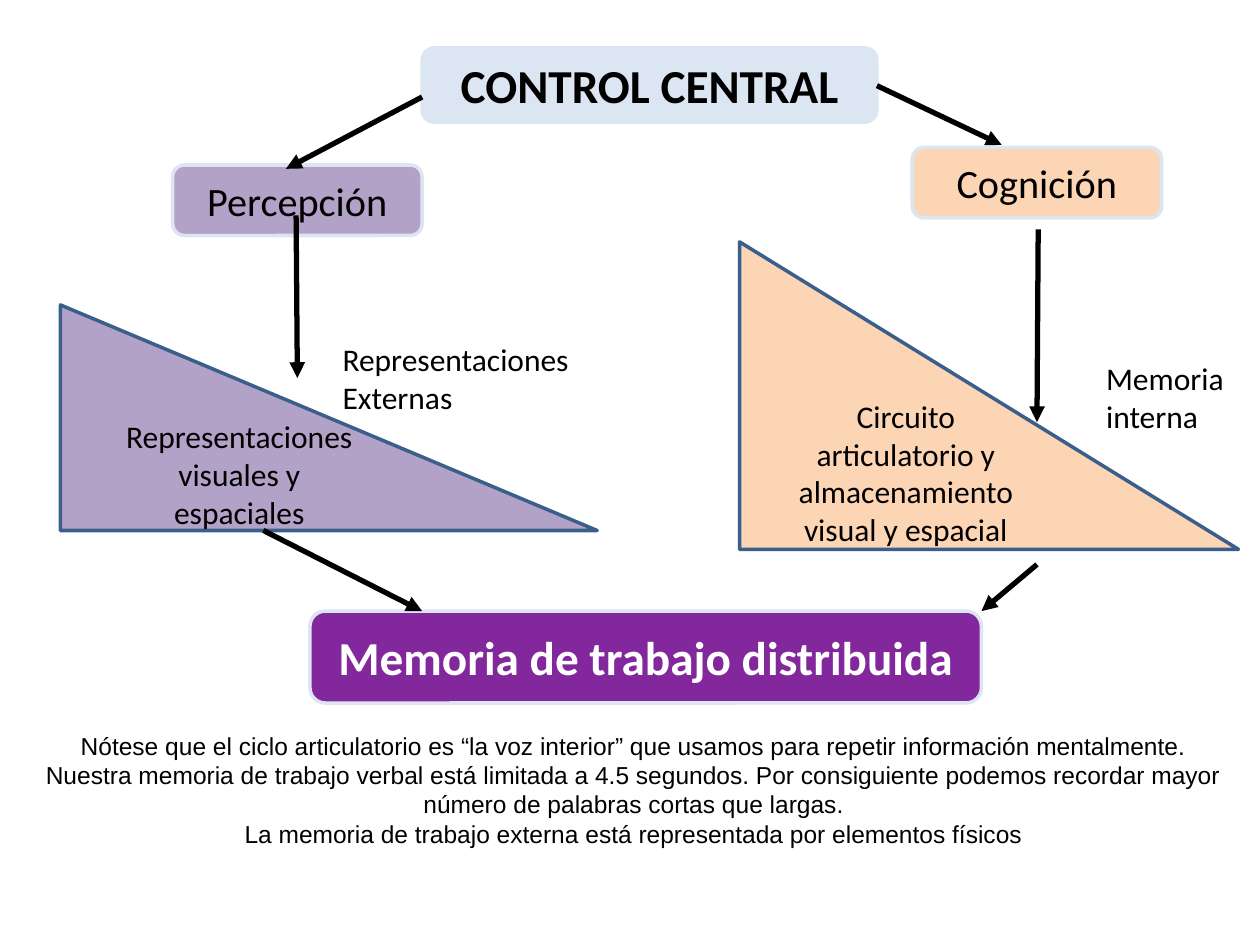
from dataclasses import dataclass

from lxml import etree
from pptx import Presentation
from pptx.dml.color import RGBColor
from pptx.enum.shapes import MSO_CONNECTOR, MSO_SHAPE
from pptx.enum.text import MSO_ANCHOR, PP_ALIGN
from pptx.oxml.ns import qn
from pptx.util import Inches, Pt

ROUNDED = MSO_SHAPE.ROUNDED_RECTANGLE
TRIANGLE = MSO_SHAPE.RIGHT_TRIANGLE
STRAIGHT = MSO_CONNECTOR.STRAIGHT
CENTER, LEFT = PP_ALIGN.CENTER, PP_ALIGN.LEFT
MIDDLE, TOP = MSO_ANCHOR.MIDDLE, MSO_ANCHOR.TOP


@dataclass(frozen=True)
class Theme:
    black: str = "000000"
    white: str = "FFFFFF"
    pale_blue: str = "DCE6F2"
    blue: str = "3A5F8B"
    lilac: str = "B3A2C7"
    peach: str = "FCD5B5"
    purple: str = "83289C"
    font: str = "Calibri"
    note_font: str = "Arial"
    heading: int = 27
    node: int = 23
    body: int = 18
    note: int = 14
    outline: int = 2
    arrow: int = 3


@dataclass(frozen=True)
class Branch:
    """Wording and layout of one side; offsets are inches from its box."""
    title: str
    process: str
    label: str
    fill: str
    node_left: float
    triangle_top: float
    label_top: float
    label_width: float
    arrow_start: tuple
    arrow_end: tuple


THEME = Theme()

PERCEPTION = Branch(
    "Percepción", "Representaciones visuales y espaciales",
    "Representaciones Externas", THEME.lilac,
    0.89, 1.11, 1.34, 2.12, (1.87, 0.4), (1.88, 1.69))
COGNITION = Branch(
    "Cognición", "Circuito articulatorio y almacenamiento visual y espacial",
    "Memoria interna", THEME.peach,
    1.37, 0.75, 1.63, 1.15, (2.37, 0.65), (2.36, 2.18))

NOTES = (
    "Nótese que el ciclo articulatorio es “la voz interior” que usamos para "
    "repetir información mentalmente. Nuestra memoria de trabajo verbal está "
    "limitada a 4.5 segundos. Por consiguiente podemos recordar mayor número "
    "de palabras cortas que largas.",
    "La memoria de trabajo externa está representada por elementos físicos",
)


def write(shape, lines, size, color=THEME.black, font=THEME.font,
          bold=False, align=CENTER, anchor=MIDDLE):
    frame = shape.text_frame
    frame.word_wrap = True
    frame.vertical_anchor = anchor
    frame.text = "\n".join(lines)
    for paragraph in frame.paragraphs:
        paragraph.alignment = align
        for run in paragraph.runs:
            run.font.name = font
            run.font.size = Pt(size)
            run.font.bold = bold
            run.font.color.rgb = RGBColor.from_string(color)


def add_filled_shape(slide, kind, box, fill, line):
    shape = slide.shapes.add_shape(kind, *map(Inches, box))
    shape.shadow.inherit = False
    shape.fill.solid()
    shape.fill.fore_color.rgb = RGBColor.from_string(fill)
    shape.line.color.rgb = RGBColor.from_string(line)
    shape.line.width = Pt(THEME.outline)
    return shape


def add_node(slide, box, text, fill, size, color=THEME.black, bold=False):
    shape = add_filled_shape(slide, ROUNDED, box, fill, THEME.pale_blue)
    write(shape, [text], size, color, bold=bold)


def add_text(slide, box, lines, size, **style):
    shape = slide.shapes.add_textbox(*map(Inches, box))
    write(shape, lines, size, anchor=TOP, **style)


def add_arrow(slide, start, end):
    arrow = slide.shapes.add_connector(STRAIGHT, *map(Inches, (*start, *end)))
    arrow.line.color.rgb = RGBColor.from_string(THEME.black)
    arrow.line.width = Pt(THEME.arrow)
    etree.SubElement(arrow.line._get_or_add_ln(), qn("a:tailEnd"), type="triangle")
    etree.SubElement(arrow._element.spPr, qn("a:effectLst"))


def add_branch(slide, box, branch):
    """Node above a triangle that fills the bottom of the box, label at right."""
    left, top, width, height = box
    triangle_box = (left, top + branch.triangle_top,
                    width, height - branch.triangle_top)
    triangle = add_filled_shape(slide, TRIANGLE, triangle_box,
                                branch.fill, THEME.blue)
    write(triangle, [branch.process], THEME.body)
    add_node(slide, (left + branch.node_left, top, 1.98, 0.56),
             branch.title, branch.fill, THEME.node)
    add_text(slide, (left + width - branch.label_width, top + branch.label_top,
                     branch.label_width, 0.71),
             [branch.label], THEME.body, align=LEFT)
    add_arrow(slide, *((left + x, top + y)
                       for x, y in (branch.arrow_start, branch.arrow_end)))


def add_control(slide, box):
    """Central node with one arrow out of each side."""
    left, top, width, _ = box
    right = left + width
    add_node(slide, box, "CONTROL CENTRAL", THEME.pale_blue,
             THEME.heading, bold=True)
    add_arrow(slide, (left, top + 0.39), (left - 1.08, top + 0.96))
    add_arrow(slide, (right, top + 0.3), (right + 0.99, top + 0.77))


def add_outcome(slide, box):
    """Resulting node with one arrow into each upper corner."""
    left, top, width, _ = box
    right = left + width
    add_node(slide, box, "Memoria de trabajo distribuida", THEME.purple,
             THEME.heading, THEME.white, bold=True)
    add_arrow(slide, (left - 0.37, top - 0.64), (left + 0.89, top))
    add_arrow(slide, (right + 0.44, top - 0.37), (right, top))


def main():
    presentation = Presentation()
    presentation.slide_width = Inches(10)
    presentation.slide_height = Inches(7.5)
    slide = presentation.slides.add_slide(presentation.slide_layouts[6])
    add_text(slide, (0.23, 5.75, 9.6, 1.04), NOTES, THEME.note,
             font=THEME.note_font)
    add_branch(slide, (0.48, 1.31, 4.26, 2.9), PERCEPTION)
    add_branch(slide, (5.87, 1.17, 3.96, 3.19), COGNITION)
    add_control(slide, (3.35, 0.38, 3.61, 0.59))
    add_outcome(slide, (2.46, 4.85, 5.33, 0.73))
    presentation.save("out.pptx")


if __name__ == "__main__":
    main()
